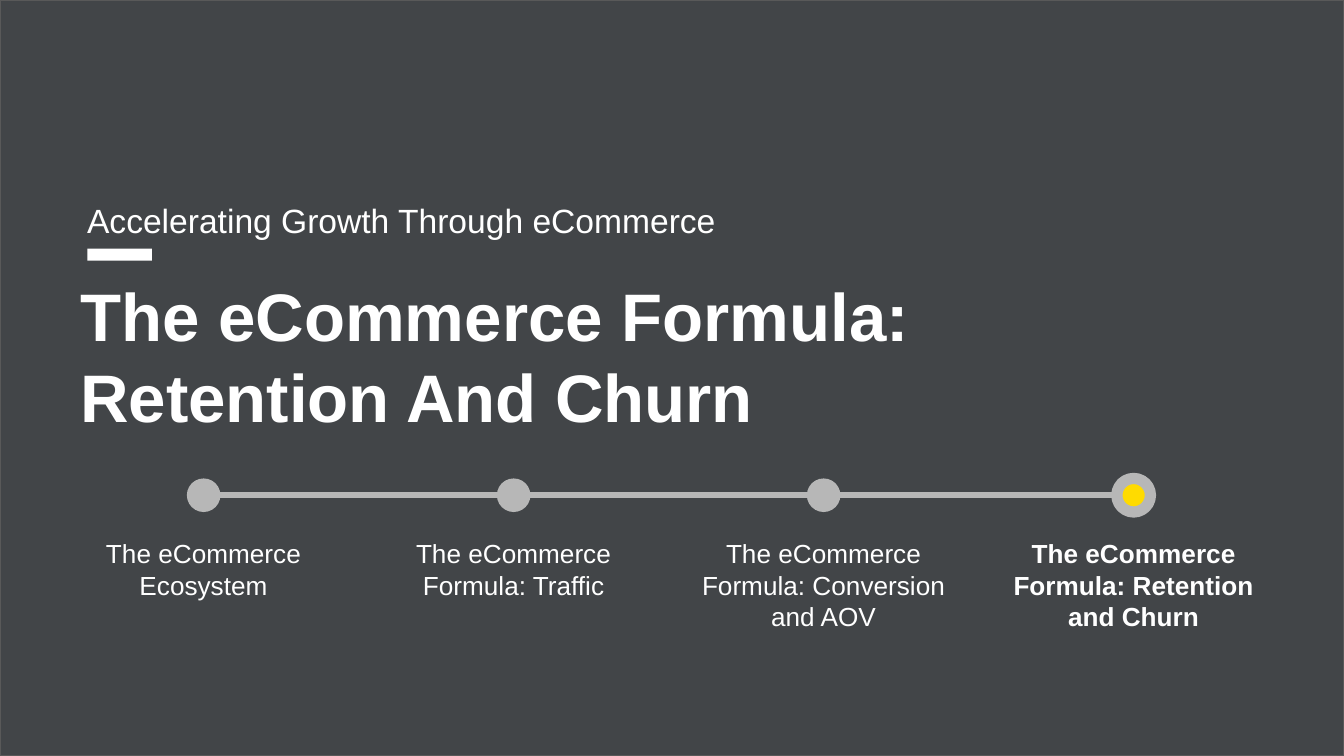
"""Build the section title slide with a four-step course timeline."""
from dataclasses import dataclass

import pptx
import pptx.dml.color
import pptx.enum.shapes
import pptx.enum.text
import pptx.oxml
import pptx.oxml.ns
import pptx.slide
import pptx.util

Inches = pptx.util.Inches
Pt = pptx.util.Pt
MSO_SHAPE = pptx.enum.shapes.MSO_SHAPE
PP_ALIGN = pptx.enum.text.PP_ALIGN


@dataclass(frozen=True)
class Theme:
    font: str = "Arial"
    background: str = "424548"
    border: str = "595959"
    text: str = "FFFFFF"
    track: str = "B7B7B7"
    highlight: str = "FFDB00"
    title_size: int = 36
    subtitle_size: int = 18
    label_size: int = 14


@dataclass(frozen=True)
class Box:
    left: float
    top: float
    width: float
    height: float

    def lengths(self) -> list[pptx.util.Length]:
        return [Inches(v) for v in (self.left, self.top, self.width, self.height)]


@dataclass(frozen=True)
class Step:
    label: str
    current: bool = False


THEME = Theme()
STEPS = (
    Step("The eCommerce Ecosystem"),
    Step("The eCommerce Formula: Traffic"),
    Step("The eCommerce Formula: Conversion and AOV"),
    Step("The eCommerce Formula: Retention and Churn", current=True),
)
SLIDE_WIDTH = 10
SLIDE_HEIGHT = SLIDE_WIDTH * 9 / 16
FIRST_DOT, LAST_DOT, DOT_TOP, DOT_SIZE = 1.39, 8.31, 3.56, 0.25
LABEL_TOP, LABEL_WIDTH, LABEL_HEIGHT = 3.9, 2.03, 1.0


def rgb(value: str) -> pptx.dml.color.RGBColor:
    return pptx.dml.color.RGBColor.from_string(value)


def add_figure(slide: pptx.slide.Slide, kind: MSO_SHAPE, box: Box, fill: str,
               line: str = "", line_width: float = 0) -> None:
    figure = slide.shapes.add_shape(kind, *box.lengths())
    figure.shadow.inherit = False
    figure.fill.solid()
    figure.fill.fore_color.rgb = rgb(fill)
    if line:
        figure.line.color.rgb = rgb(line)
        figure.line.width = Pt(line_width)
    else:
        figure.line.fill.background()


def add_text(slide: pptx.slide.Slide, box: Box, text: str, size: int,
             bold: bool = False, **paragraph_format: object) -> None:
    frame = slide.shapes.add_textbox(*box.lengths()).text_frame
    frame.word_wrap = True
    for side in ("left", "top", "right", "bottom"):
        setattr(frame, f"margin_{side}", Inches(0.1))
    paragraph = frame.paragraphs[0]
    for name, value in paragraph_format.items():
        setattr(paragraph, name, value)
    run = paragraph.add_run()
    run.text = text
    for name, value in {"name": THEME.font, "size": Pt(size), "bold": bold}.items():
        setattr(run.font, name, value)
    run.font.color.rgb = rgb(THEME.text)


def add_track(slide: pptx.slide.Slide) -> None:
    middle = Inches(DOT_TOP + DOT_SIZE / 2)
    track = slide.shapes.add_connector(
        pptx.enum.shapes.MSO_CONNECTOR.STRAIGHT,
        Inches(FIRST_DOT), middle, Inches(LAST_DOT + DOT_SIZE), middle)
    track.line.color.rgb = rgb(THEME.track)
    track.line.width = Pt(3)
    properties = track._element.spPr
    properties.append(pptx.oxml.parse_xml(
        f'<a:effectLst {pptx.oxml.ns.nsdecls("a")}/>'))


def add_step(slide: pptx.slide.Slide, index: int, step: Step) -> None:
    left = FIRST_DOT + index * (LAST_DOT - FIRST_DOT) / (len(STEPS) - 1)
    dot = Box(left, DOT_TOP, DOT_SIZE, DOT_SIZE)
    if step.current:
        add_figure(slide, MSO_SHAPE.OVAL, dot, THEME.highlight, THEME.track, 6)
    else:
        add_figure(slide, MSO_SHAPE.OVAL, dot, THEME.track)
    label = Box(left + (DOT_SIZE - LABEL_WIDTH) / 2, LABEL_TOP, LABEL_WIDTH, LABEL_HEIGHT)
    add_text(slide, label, step.label, THEME.label_size, step.current,
             alignment=PP_ALIGN.CENTER, space_after=Pt(16))


def main() -> None:
    deck = pptx.Presentation()
    deck.slide_width, deck.slide_height = Inches(SLIDE_WIDTH), Inches(SLIDE_HEIGHT)
    slide = deck.slides.add_slide(deck.slide_layouts[6])
    add_figure(slide, MSO_SHAPE.RECTANGLE, Box(0, 0, SLIDE_WIDTH, SLIDE_HEIGHT),
               THEME.background, THEME.border, 0.75)
    add_figure(slide, MSO_SHAPE.RECTANGLE, Box(0.65, 1.85, 0.48, 0.09), THEME.text)
    add_text(slide, Box(0.5, 1.94, 8.26, 0.68), "The eCommerce Formula: Retention And Churn",
             THEME.title_size, bold=True)
    add_text(slide, Box(0.55, 1.34, 8.16, 0.45), "Accelerating Growth Through eCommerce",
             THEME.subtitle_size, line_spacing=1.15, space_after=Pt(16))
    add_track(slide)
    for index, step in enumerate(STEPS):
        add_step(slide, index, step)
    deck.save("out.pptx")


if __name__ == "__main__":
    main()
